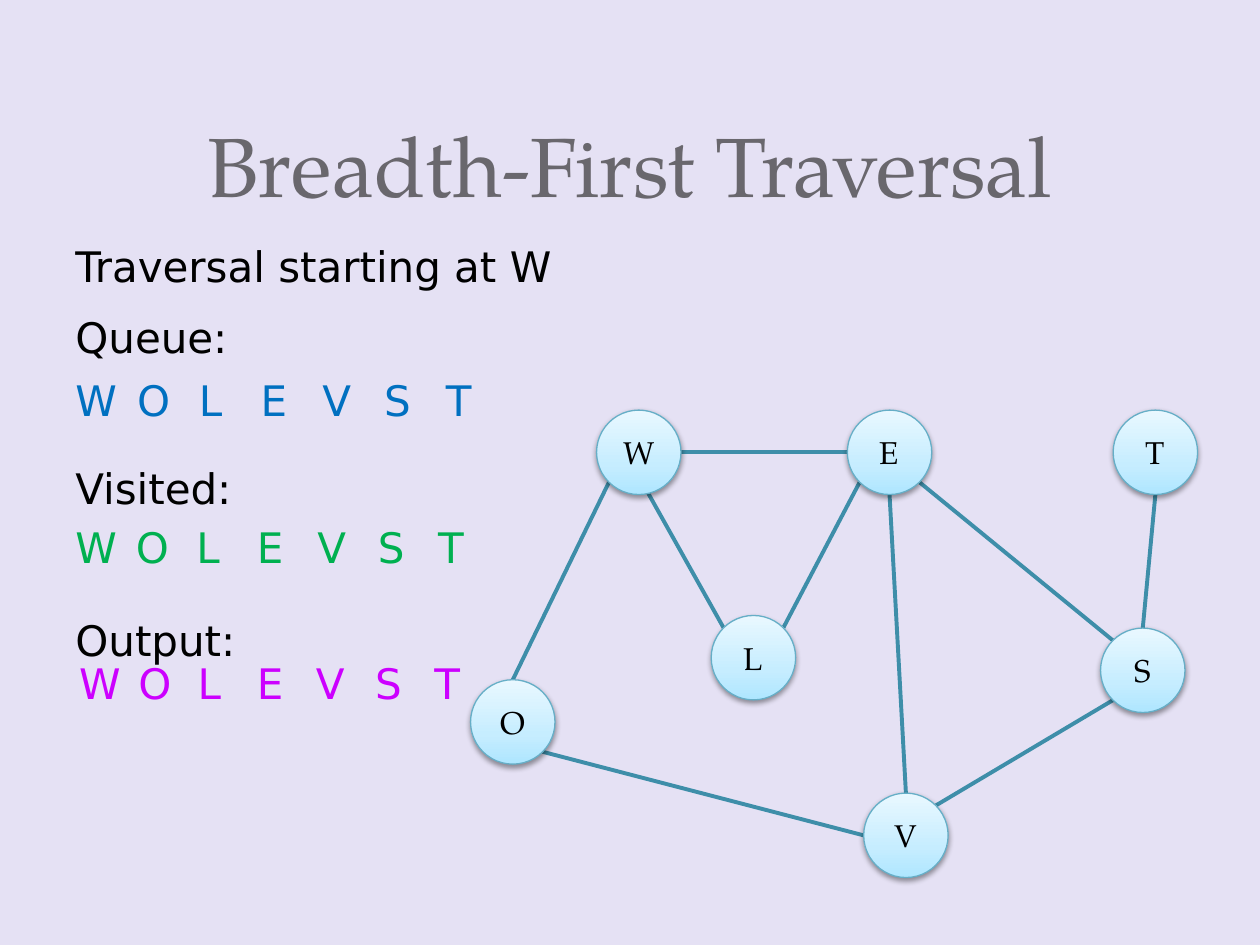
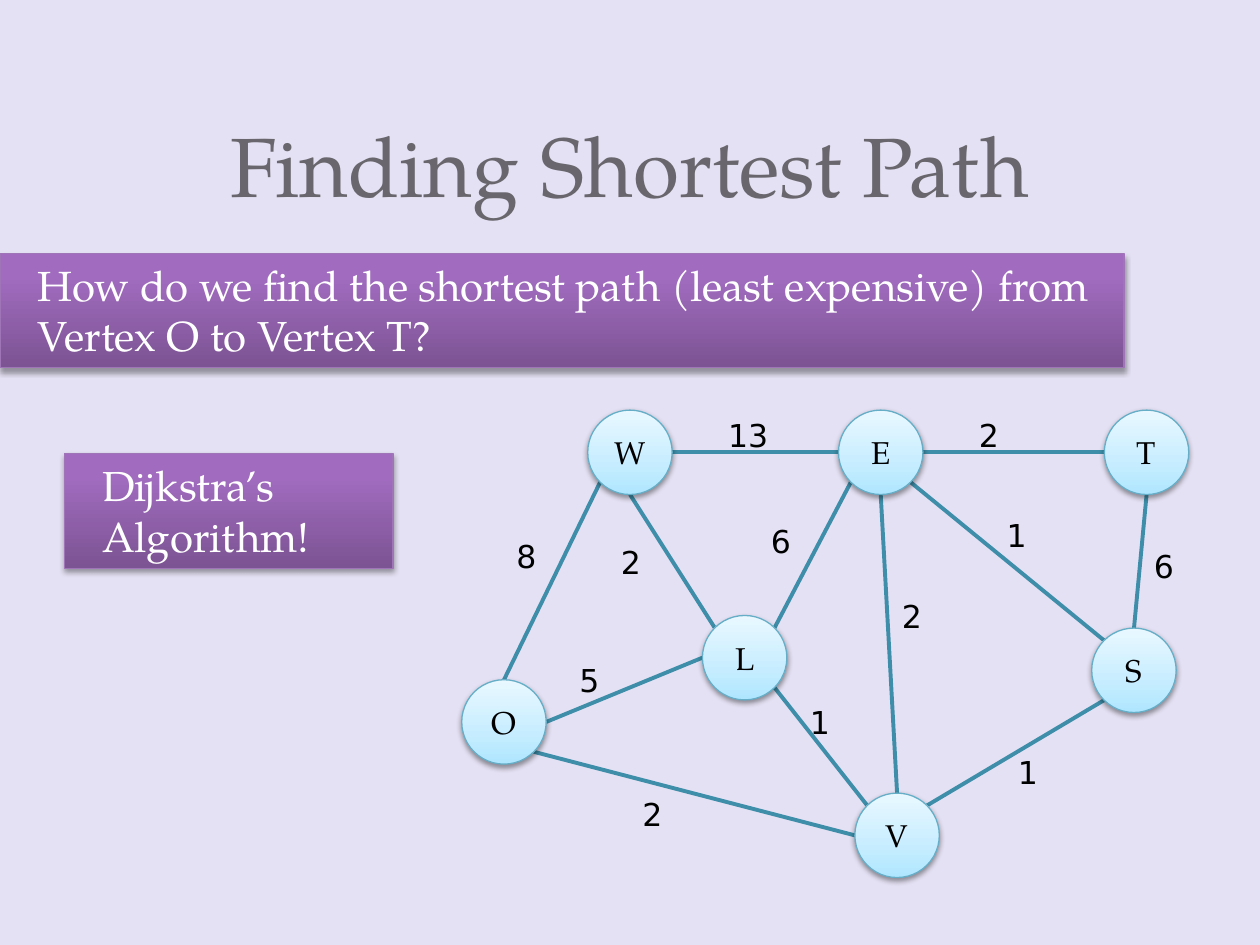
"""Builds two slides on graph traversal and shortest paths."""
from math import cos, radians, sin

from pptx import Presentation
from pptx.dml.color import RGBColor
from pptx.enum.shapes import MSO_CONNECTOR, MSO_SHAPE
from pptx.enum.text import MSO_ANCHOR, PP_ALIGN
from pptx.oxml import parse_xml
from pptx.oxml.ns import nsdecls, qn
from pptx.util import Inches, Pt

STRAIGHT = MSO_CONNECTOR.STRAIGHT
OVAL, RECTANGLE = MSO_SHAPE.OVAL, MSO_SHAPE.RECTANGLE
MIDDLE, BOTTOM = MSO_ANCHOR.MIDDLE, MSO_ANCHOR.BOTTOM
CENTER, LEFT = PP_ALIGN.CENTER, PP_ALIGN.LEFT

LAVENDER = RGBColor(0xE5, 0xE1, 0xF4)
GREY = RGBColor(0x69, 0x67, 0x6D)
BLACK = RGBColor(0, 0, 0)
WHITE = RGBColor(255, 255, 255)
BLUE = RGBColor(0x00, 0x70, 0xC0)
GREEN = RGBColor(0x00, 0xB0, 0x50)
MAGENTA = RGBColor(0xCC, 0x00, 0xFF)
EDGE_TEAL = RGBColor(0x3E, 0x8E, 0xA9)
NODE_RIM = RGBColor(0x66, 0xAE, 0xC7)
BANNER_RIM = RGBColor(0xA0, 0x75, 0xB8)
NODE_STOPS = ((0, "AEE6FF"), (35, "C6EDFF"), (100, "E9F8FF"))
BANNER_STOPS = ((0, "7C5393"), (80, "A16CBF"), (100, "A26BC1"))

SERIF, SANS = "TeX Gyre Pagella", "DejaVu Sans"
TITLE_FONT = {"name": SERIF, "size": Pt(48)}
NODE_FONT = {"name": SERIF, "size": Pt(18)}
BANNER_FONT = {"name": SERIF, "size": Pt(24)}
BODY_FONT = {"name": SANS, "size": Pt(24)}
WEIGHT_FONT = {"name": SANS, "size": Pt(18)}

NODE_SIZE = 0.67
VERTICES = {
    "W": (5.07, 3.59), "E": (7.06, 3.59), "T": (9.17, 3.59), "L": (5.98, 5.22),
    "S": (9.07, 5.32), "O": (4.07, 5.73), "V": (7.19, 6.63),
}
PORT_ANGLES = {"right": 0, "lower right": 45, "near bottom": 77, "bottom": 90,
               "lower left": 135, "left": 180, "upper left": 225, "top": 270,
               "upper right": 315}
COMMON_EDGES = [
    ("V", "top", "E", "bottom"),
    ("W", "right", "E", "left"),
    ("S", "upper left", "E", "lower right"),
    ("S", "lower left", "V", "upper right"),
    ("W", "lower left", "O", "top"),
    ("L", "upper right", "E", "lower left"),
    ("T", "bottom", "S", "top"),
    ("O", "lower right", "V", "left"),
]
TRAVERSAL_EDGES = COMMON_EDGES + [("W", "near bottom", "L", "upper left")]
WEIGHTED_EDGES = COMMON_EDGES + [
    ("W", "bottom", "L", "upper left"),
    ("O", "right", "L", "left"),
    ("V", "upper left", "L", "lower right"),
    ("E", "right", "T", "left"),
]
WEIGHTS = [
    ("13", 5.68, 3.25), ("1", 7.89, 4.05), ("2", 4.83, 4.26), ("6", 6.02, 4.09),
    ("8", 4.0, 4.21), ("1", 6.33, 5.53), ("2", 7.06, 4.69), ("1", 7.98, 5.93),
    ("6", 9.06, 4.29), ("5", 4.5, 5.2), ("2", 5.0, 6.26), ("2", 7.67, 3.25),
]
VISIT_ORDER = "WOLEVST"
LETTER_ROWS = [(0.5, 2.92, 0.49, BLUE), (0.5, 4.09, 0.48, GREEN),
               (0.53, 5.17, 0.47, MAGENTA)]


def set_all(target, values):
    """Set every named attribute on the target."""
    for name, value in values.items():
        setattr(target, name, value)


def write(shape, text, font, color, frame_format=None, paragraph_format=None):
    """Fill a shape with wrapped text, one paragraph a line."""
    frame = shape.text_frame
    set_all(frame, {"word_wrap": True, **(frame_format or {})})
    frame.text = text
    for paragraph in frame.paragraphs:
        set_all(paragraph, {"alignment": LEFT, **(paragraph_format or {})})
        set_all(paragraph.font, font)
        paragraph.font.color.rgb = color


def add_label(slide, text, box, font, color=BLACK, **formats):
    """Add a text box."""
    label = slide.shapes.add_textbox(*map(Inches, box))
    write(label, text, font, color, **formats)
    return label


def add_glossy(slide, kind, box, stops, rim, shadow_alpha, shadow_distance):
    """Add a shape with an upward gradient, a thin rim and a soft shadow."""
    shape = slide.shapes.add_shape(kind, *map(Inches, box))
    set_all(shape.line, {"width": Pt(0.75)})
    shape.line.color.rgb = rim
    shape.fill.background()
    properties = shape._element.spPr
    marks = "".join(f'<a:gs pos="{place * 1000}"><a:srgbClr val="{color}"/></a:gs>'
                    for place, color in stops)
    gradient = parse_xml(f'<a:gradFill {nsdecls("a")} rotWithShape="1"><a:gsLst>{marks}'
                         '</a:gsLst><a:lin ang="16200000" scaled="0"/></a:gradFill>')
    properties.replace(properties.find(qn("a:noFill")), gradient)
    shape.shadow.inherit = False
    properties.find(qn("a:effectLst")).append(parse_xml(
        f'<a:outerShdw {nsdecls("a")} blurRad="40000" dist="{shadow_distance}" '
        'dir="5400000" rotWithShape="0"><a:srgbClr val="000000">'
        f'<a:alpha val="{shadow_alpha * 1000}"/></a:srgbClr></a:outerShdw>'))
    return shape


def add_node(slide, letter, center):
    """Add a lettered vertex around its center."""
    x, y = center
    box = (x - NODE_SIZE / 2, y - NODE_SIZE / 2, NODE_SIZE, NODE_SIZE)
    node = add_glossy(slide, OVAL, box, NODE_STOPS, NODE_RIM, 38, 20000)
    write(node, letter, NODE_FONT, BLACK,
          {"vertical_anchor": MIDDLE}, {"alignment": CENTER})


def port_point(center, port):
    """Return the point on a vertex rim where an edge meets it."""
    angle = radians(PORT_ANGLES[port])
    return [Inches(center[0] + NODE_SIZE / 2 * cos(angle)),
            Inches(center[1] + NODE_SIZE / 2 * sin(angle))]


def add_graph(slide, edges, shift=0):
    """Draw the edges and then the vertices, moved sideways by shift."""
    centers = {letter: (x + shift, y) for letter, (x, y) in VERTICES.items()}
    for start, start_port, end, end_port in edges:
        edge = slide.shapes.add_connector(
            STRAIGHT, *port_point(centers[start], start_port),
            *port_point(centers[end], end_port))
        edge.line.width = Pt(2.25)
        edge.line.color.rgb = EDGE_TEAL
        edge._element.spPr.append(parse_xml(f'<a:effectLst {nsdecls("a")}/>'))
    for letter, center in centers.items():
        add_node(slide, letter, center)


def add_banner(slide, text, box):
    """Add a purple banner with white text."""
    banner = add_glossy(slide, RECTANGLE, box, BANNER_STOPS, BANNER_RIM, 35, 23000)
    write(banner, text, BANNER_FONT, WHITE,
          {"vertical_anchor": MSO_ANCHOR.TOP, "margin_left": Inches(0.3)})


def add_titled_slide(deck, title):
    """Add a blank slide with the shared title style."""
    slide = deck.slides.add_slide(deck.slide_layouts[6])
    add_label(slide, title, (0.5, 0, 9, 1.75), TITLE_FONT, GREY,
              frame_format={"vertical_anchor": BOTTOM},
              paragraph_format={"alignment": CENTER, "line_spacing": Pt(58)})
    return slide


def build_traversal(deck):
    """Build the breadth-first traversal slide."""
    slide = add_titled_slide(deck, "Breadth-First Traversal")
    add_graph(slide, TRAVERSAL_EDGES)
    add_label(slide, "Traversal starting at W", (0.5, 1.86, 5.13, 0.5), BODY_FONT)
    headings = add_label(slide, "Queue:\nVisited:\nOutput:",
                         (0.5, 2.42, 1.83, 4.14), BODY_FONT)
    for heading in headings.text_frame.paragraphs[1:]:
        heading.space_before = Pt(58)
    for left, top, step, color in LETTER_ROWS:
        for index, letter in enumerate(VISIT_ORDER):
            add_label(slide, letter, (left + index * step, top, 0.56, 0.5),
                      BODY_FONT, color)


def build_shortest_path(deck):
    """Build the weighted graph slide."""
    slide = add_titled_slide(deck, "Finding Shortest Path")
    add_banner(slide, "How do we find the shortest path (least expensive) from "
               "Vertex O to Vertex T?", (0, 2.01, 8.92, 0.91))
    add_graph(slide, WEIGHTED_EDGES, shift=-0.07)
    for weight, left, top in WEIGHTS:
        add_label(slide, weight, (left, top, 0.77, 0.4), WEIGHT_FONT)
    add_banner(slide, "Dijkstra’s Algorithm!", (0.51, 3.6, 2.61, 0.91))


def main():
    """Build and save the deck."""
    deck = Presentation()
    set_all(deck, {"slide_width": Inches(10), "slide_height": Inches(7.5)})
    backdrop = deck.slide_master.background.fill
    backdrop.solid()
    backdrop.fore_color.rgb = LAVENDER
    build_traversal(deck)
    build_shortest_path(deck)
    deck.save("out.pptx")


if __name__ == "__main__":
    main()
